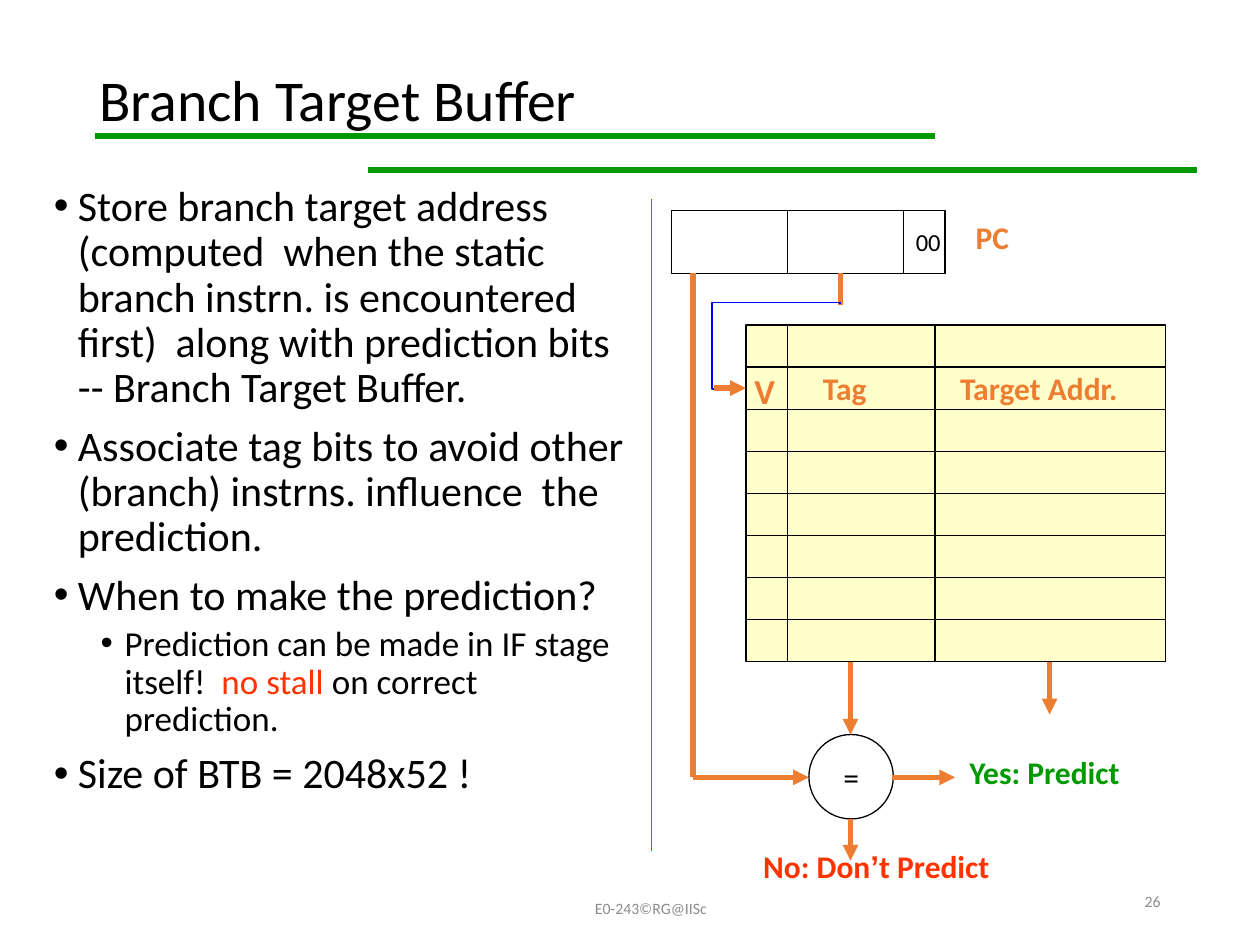
from pptx import Presentation
from pptx.dml.color import RGBColor as RGB
from pptx.enum.shapes import MSO_CONNECTOR as CONN, MSO_SHAPE as SHAPE
from pptx.enum.text import MSO_ANCHOR as ANCHOR, PP_ALIGN as ALIGN
from pptx.oxml.ns import qn
from pptx.util import Inches, Pt
from lxml.etree import SubElement

HUES = {
    "black": "000000", "green": "009900", "red": "FF3300", "orange": "ED7D31",
    "cream": "FFFFCC", "blue": "0000FF", "gray": "8C8C8C",
}

# Each bullet: level, then runs of text and colour
BULLETS = [
    (0, [("Store branch target address  (computed  when the static branch instrn. "
          "is encountered first)  along with prediction bits "
          "-- Branch Target Buffer.", "black")]),
    (0, [("Associate tag bits to avoid other (branch) instrns. "
          "influence  the prediction.", "black")]),
    (0, [("When to make the prediction?", "black")]),
    (1, [("Prediction can be made in IF stage itself!  ", "black"),
         ("no stall ", "red"), ("on correct prediction.", "black")]),
    (0, [("Size of BTB = 2048x52 !", "black")]),
]
# Size, space before and left indent for each level
LEVELS = [(24, 7.5, 0.19), (20, 3.8, 0.56)]


def color(name):
    return RGB.from_string(HUES[name])


def style(run, size, hue, bold=False, face="Calibri"):
    font = run.font
    font.name, font.size, font.bold = face, Pt(size), bold
    font.color.rgb = color(hue)


def add_line(slide, start, end, hue="black", width=0.75, arrow=False, kind=CONN.STRAIGHT):
    ends = [Inches(v) for v in (*start, *end)]
    line = slide.shapes.add_connector(kind, *ends)
    line.line.color.rgb = color(hue)
    line.line.width = Pt(width)
    if arrow:
        SubElement(line.line._get_or_add_ln(), qn("a:tailEnd"), type="triangle")
    SubElement(line._element.spPr, qn("a:effectLst"))
    return line


def add_box(slide, box, fill=None, kind=SHAPE.RECTANGLE):
    shape = slide.shapes.add_shape(kind, *[Inches(v) for v in box])
    shape.shadow.inherit = False
    if fill:
        shape.fill.solid()
        shape.fill.fore_color.rgb = color(fill)
    else:
        shape.fill.background()
    shape.line.color.rgb = color("black")
    shape.line.width = Pt(0.75)
    return shape


def add_text(slide, box, text, size, hue="black", bold=False,
             align=ALIGN.CENTER, anchor=ANCHOR.TOP):
    frame = slide.shapes.add_textbox(*[Inches(v) for v in box]).text_frame
    frame.word_wrap = True
    frame.vertical_anchor = anchor
    frame.text = text
    para = frame.paragraphs[0]
    para.alignment = align
    for run in para.runs:
        style(run, size, hue, bold)
    return para


def add_bullets(slide, box):
    frame = slide.shapes.add_textbox(*[Inches(v) for v in box]).text_frame
    frame.word_wrap = True
    for i, (level, runs) in enumerate(BULLETS):
        para = frame.add_paragraph() if i else frame.paragraphs[0]
        size, gap, indent = LEVELS[level]
        props = para._p.get_or_add_pPr()
        props.set("marL", str(Inches(indent)))
        props.set("indent", str(-Inches(0.19)))
        SubElement(props, qn("a:buFont"), typeface="Arial")
        SubElement(props, qn("a:buChar"), char="•")
        para.level = level
        para.line_spacing = 0.9
        if i:
            para.space_before = Pt(gap)
        for text, hue in runs:
            run = para.add_run()
            run.text = text
            style(run, size, hue)


def add_frame(slide):
    # Title, rules, footer and page number
    for left, right, y in ((0.75, 7.33, 1.08), (2.92, 9.5, 1.35), (0.83, 7.42, 1.08)):
        add_line(slide, (left, y), (right, y), "green", 3)
    title = add_text(slide, (0.69, 0.4, 8.62, 0.83), "Branch Target Buffer", 33,
                     align=ALIGN.LEFT, anchor=ANCHOR.MIDDLE)
    title.line_spacing = 0.9
    add_text(slide, (3.58, 7.08, 3.17, 0.25), "E0-243©RG@IISc", 9, "gray",
             anchor=ANCHOR.MIDDLE)
    add_text(slide, (7.06, 6.95, 2.25, 0.4), "26", 9, "gray",
             align=ALIGN.RIGHT, anchor=ANCHOR.MIDDLE)


def add_buffer(slide):
    # Grid of eight rows: valid bit, tag, target address
    left, top, wide, high, rows = 5.92, 2.58, 3.33, 2.67, 8
    grid = add_box(slide, (left, top, wide, high), "cream")
    for i in range(1, rows):
        y = top + i * high / rows
        rule = add_line(slide, (left, y), (left + wide, y))
        if i == rows // 2:
            rule.begin_connect(grid, 1)
            rule.end_connect(grid, 3)
    for x in (6.25, 7.42):
        add_line(slide, (x, top), (x, top + high))

    # Program counter
    add_box(slide, (5.33, 1.67, 2.17, 0.5))
    for x in (6.25, 7.17):
        add_line(slide, (x, 1.67), (x, 2.17))


def add_flow(slide):
    # Comparator
    comp = add_box(slide, (6.42, 5.83, 0.67, 0.67), kind=SHAPE.OVAL)
    frame = comp.text_frame
    frame.word_wrap = False
    frame.vertical_anchor = ANCHOR.MIDDLE
    frame.text = "="
    frame.paragraphs[0].alignment = ALIGN.CENTER
    style(frame.paragraphs[0].runs[0], 18, "black")

    # Plain stubs, then arrows
    for start, end in (((6.67, 2.17), (6.67, 2.42)), ((5.5, 2.17), (5.5, 6.17))):
        add_line(slide, start, end, "orange", 3)
    for start, end in (((6.75, 5.25), (6.75, 5.83)), ((5.5, 6.17), (6.42, 6.17)),
                       ((6.75, 6.5), (6.75, 6.83)), ((7.08, 6.17), (7.58, 6.17)),
                       ((8.33, 5.25), (8.33, 5.67)), ((5.67, 3.08), (5.92, 3.08))):
        add_line(slide, start, end, "orange", 3, arrow=True)

    # Index path from the counter to its row
    bent = add_line(slide, (5.83, 2.25), (6.5, 3.25), "blue", 1, kind=CONN.ELBOW)
    bent.rotation = 270 if hasattr(bent, "rotation") else 0
    props = bent._element.spPr
    for key, value in (("rot", "16200000"), ("flipH", "1"), ("flipV", "1")):
        props.find(qn("a:xfrm")).set(key, value)
    geom = props.find(qn("a:prstGeom"))
    geom.set("prst", "bentConnector4")
    guides = geom.find(qn("a:avLst"))
    for name, value in (("adj1", -2000), ("adj2", 101400)):
        SubElement(guides, qn("a:gd"), name=name, fmla=f"val {value}")


def add_labels(slide):
    add_text(slide, (7.17, 1.75, 0.5, 0.33), "00", 14, align=ALIGN.LEFT)
    for box, text, size, hue in (
            ((7.25, 1.68, 1.25, 0.4), "PC", 18, "orange"),
            ((7.41, 2.88, 1.67, 0.4), "Target Addr.", 18, "orange"),
            ((6.08, 2.88, 1.25, 0.4), "Tag", 18, "orange"),
            ((5.86, 2.88, 0.42, 0.43), "V", 20, "orange"),
            ((7.33, 5.93, 1.92, 0.4), "Yes: Predict", 18, "green")):
        add_text(slide, box, text, size, hue, bold=True)
    para = add_text(slide, (5.58, 6.67, 2.75, 0.42), "No: Don", 18, "red", bold=True)
    for text, face in (("’", "Arial"), ("t Predict", "Calibri")):
        run = para.add_run()
        run.text = text
        style(run, 18, "red", True, face)


def main():
    deck = Presentation()
    deck.slide_width, deck.slide_height = Inches(10), Inches(7.5)
    slide = deck.slides.add_slide(deck.slide_layouts[6])
    add_frame(slide)
    add_bullets(slide, (0.33, 1.42, 4.75, 5.17))
    add_line(slide, (5.17, 1.58), (5.17, 6.75), "red")
    add_buffer(slide)
    add_flow(slide)
    add_labels(slide)
    deck.save("out.pptx")


if __name__ == "__main__":
    main()
